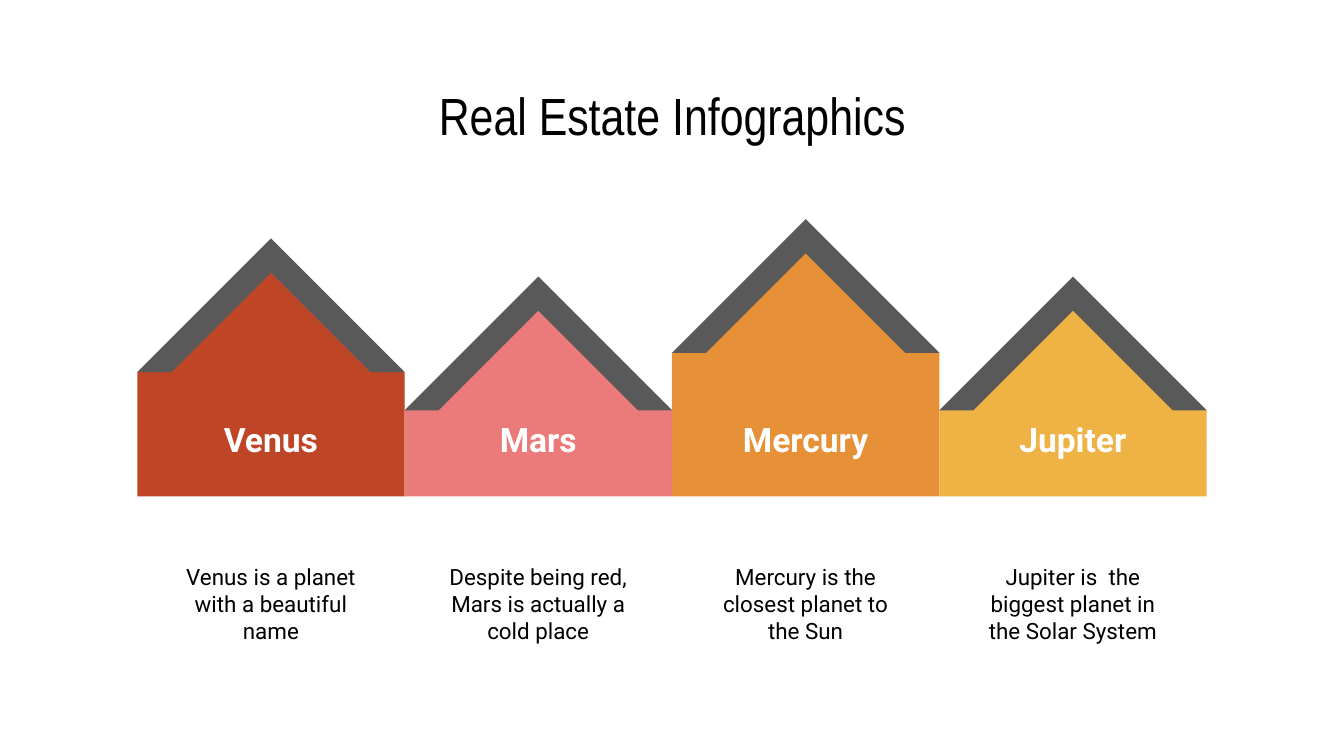
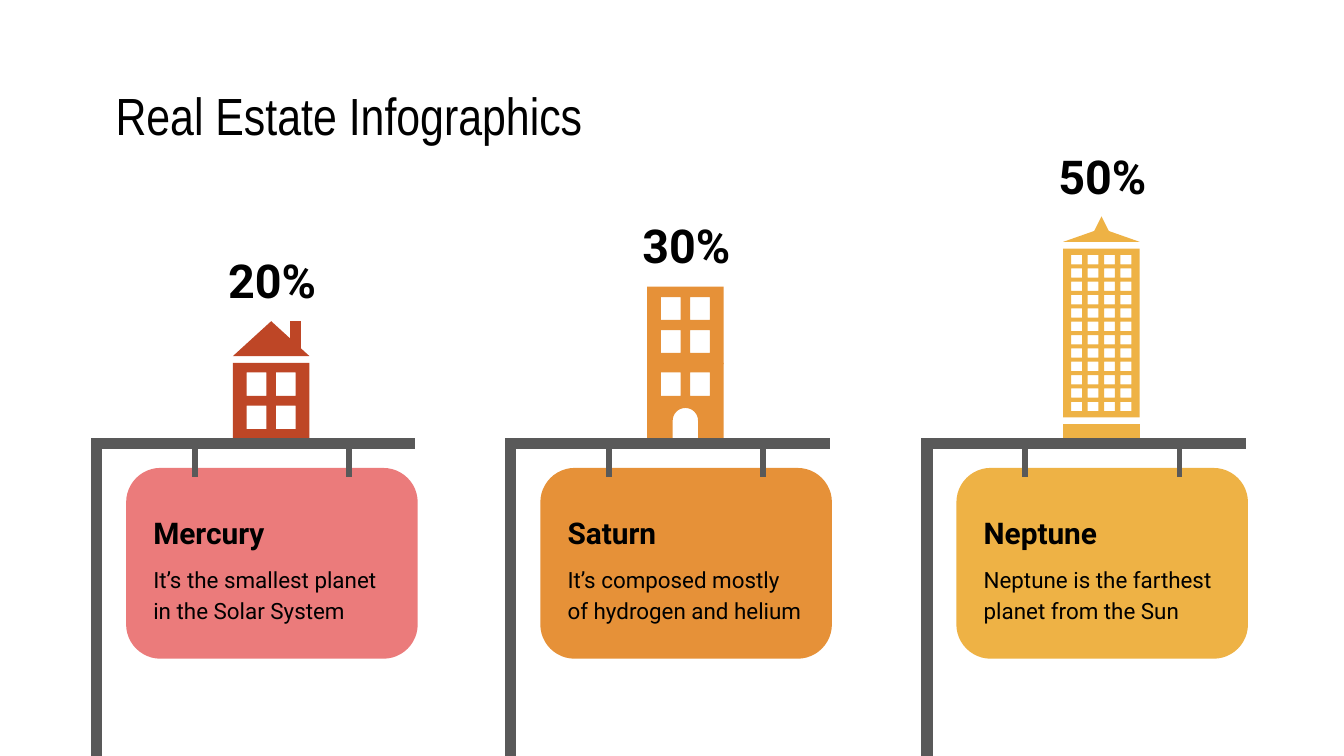
from math import cos, pi, sin
from pptx import Presentation
from pptx.dml.color import RGBColor
from pptx.enum.shapes import MSO_CONNECTOR, MSO_SHAPE
from pptx.enum.text import MSO_ANCHOR, PP_ALIGN
from pptx.oxml.ns import qn
from pptx.util import Pt
from lxml.etree import SubElement

BLACK = RGBColor(0x00, 0x00, 0x00)
WHITE = RGBColor(0xFF, 0xFF, 0xFF)
GRAY = RGBColor(0x59, 0x59, 0x59)
RED = RGBColor(0xBE, 0x46, 0x26)
PINK = RGBColor(0xEB, 0x7B, 0x7B)
ORANGE = RGBColor(0xE6, 0x91, 0x38)
YELLOW = RGBColor(0xEE, 0xB2, 0x45)
TITLE = "Real Estate Infographics"


def write(slide, text, box, size, color=BLACK, bold=False, font="Roboto",
          align=PP_ALIGN.CENTER, anchor=MSO_ANCHOR.TOP, space=1.0):
    frame = slide.shapes.add_textbox(*map(Pt, box)).text_frame
    frame.word_wrap = True
    frame.vertical_anchor = anchor
    frame.margin_left = frame.margin_right = Pt(7.2)
    frame.margin_top = frame.margin_bottom = Pt(7.2)
    para = frame.paragraphs[0]
    para.alignment = align
    para.line_spacing = space
    run = para.add_run()
    run.text = text
    run.font.name = font
    run.font.size = Pt(size)
    run.font.bold = bold
    run.font.color.rgb = color


def trace(group, color, left, outline, panes=()):
    loops = [outline]
    for x, y, w, h in panes:
        loops.append([(x, y), (x + w, y), (x + w, y + h), (x, y + h)])
    loops = [[(Pt(left + x), Pt(y)) for x, y in loop] for loop in loops]
    path = group.shapes.build_freeform(*loops[0][0])
    path.add_line_segments(loops[0][1:])
    for loop in loops[1:]:
        path.move_to(*loop[0])
        path.add_line_segments(loop[1:])
    shape = path.convert_to_shape()
    shape.shadow.inherit = False
    shape.fill.solid()
    shape.fill.fore_color.rgb = color
    shape.line.fill.background()


deck = Presentation()
deck.slide_width, deck.slide_height = Pt(720), Pt(405)
blank = deck.slide_layouts[6]
street, signs = (deck.slides.add_slide(blank) for _ in range(2))
for slide, left in ((street, 225), (signs, 51.8)):
    write(slide, TITLE, (left, 42.5, 270, 38), 28,
          font="Arial Narrow", anchor=MSO_ANCHOR.MIDDLE)

WIDTH, BASE, ROOF = 143.2, 265.9, 101.3
houses = [
    ("Venus", RED, 199.4, "Venus is a planet with a beautiful name"),
    ("Mars", PINK, 219.8, "Despite being red, Mars is actually a cold place"),
    ("Mercury", ORANGE, 189, "Mercury is the closest planet to the Sun"),
    ("Jupiter", YELLOW, 219.8, "Jupiter is  the biggest planet in the Solar System"),
]
for i, (name, color, eave, note) in enumerate(houses):
    left = 73.6 + i * WIDTH
    group = street.shapes.add_group_shape()
    trace(group, color, left, [
        (WIDTH, eave), (WIDTH, BASE), (0, BASE), (0, eave), (WIDTH / 2, eave - 11.2)])
    for drop, tint in ((0, GRAY), (18.4, color)):
        roof = group.shapes.add_shape(
            MSO_SHAPE.RIGHT_TRIANGLE, Pt(left + (WIDTH - ROOF) / 2),
            Pt(eave + drop - ROOF / 2), Pt(ROOF), Pt(ROOF))
        roof.rotation = 135
        roof.shadow.inherit = False
        roof.fill.solid()
        roof.fill.fore_color.rgb = tint
        roof.line.fill.background()
    write(street, note, (left + 13.8, 294.5, 115.5, 56), 12)
    write(street, name, (left + 13.8, 222, 115.5, 26.6), 18, WHITE, True,
          anchor=MSO_ANCHOR.MIDDLE)

SIDE, FLOOR = 41, 235
duo = [(x, y) for y in (0, 17.7) for x in (7.4, 23)]
arch = [(20.5 - 6.8 * cos(pi * k / 16), 225.4 - 6.8 * sin(pi * k / 16))
        for k in range(17)]
home = [
    ([(20.5, 172.1), (0, 190.8), (SIDE, 190.8)], []),
    ([(30.4, 172.1), (30.4, 187.2), (36.2, 187.2), (36.2, 172.1)], []),
    ([(0, 194.4), (0, FLOOR), (SIDE, FLOOR), (SIDE, 194.4)],
     [(x, 199.6 + y, 10.6, 12.6) for x, y in duo]),
]
flats = [
    ([(0, 153.6), (0, 195), (SIDE, 195), (SIDE, 153.6)],
     [(x, 159.2 + y, 10.6, 12.2) for x, y in duo]),
    ([(0, 194.4), (0, FLOOR), (13.7, FLOOR), *arch, (27.3, FLOOR),
      (SIDE, FLOOR), (SIDE, 194.4)],
     [(x, 199.6, 10.6, 12.6) for x, y in duo[:2]]),
]
tower = [
    ([(20.5, 122.4), (0, 129.6), (SIDE, 129.6)], []),
    ([(0, 227.4), (0, FLOOR), (SIDE, FLOOR), (SIDE, 227.4)], []),
    ([(0, 133.2), (0, 223.6), (SIDE, 223.6), (SIDE, 133.2)],
     [(4.3 + 8.8 * col, 136.6 + 7.15 * row, 5.8, 5)
      for row in range(12) for col in range(4)]),
    ([(20.5, 115.9), (15.8, 125.3), (25.2, 125.3)], []),
]
posts = [
    (51.8, "Mercury", "It’s the smallest planet in the Solar System",
     PINK, RED, home, "20%", 136),
    (273.7, "Saturn", "It’s composed mostly of hydrogen and helium",
     ORANGE, ORANGE, flats, "30%", 117.2),
    (496.6, "Neptune", "Neptune is the farthest planet from the Sun",
     YELLOW, YELLOW, tower, "50%", 80.2),
]
rods = [(0, 234.7, 0, 441, 6), (2.8, 237.8, 170.8, 237.8, 6),
        (52.6, 237.8, 52.6, 255.6, 3), (135.2, 237.8, 135.2, 255.6, 3)]
for left, name, note, fill, color, parts, share, top in posts:
    card = signs.shapes.add_shape(
        MSO_SHAPE.ROUNDED_RECTANGLE, Pt(left + 15.8), Pt(250.7), Pt(156.2), Pt(102.2))
    card.adjustments[0] = 0.18
    card.shadow.inherit = False
    card.fill.solid()
    card.fill.fore_color.rgb = fill
    card.line.fill.background()
    group = signs.shapes.add_group_shape()
    for outline, panes in parts:
        trace(group, color, left + 73, outline, panes)
    write(signs, name, (left + 23.3, 265.7, 141, 37.4), 16, bold=True,
          align=PP_ALIGN.LEFT, space=1.15)
    write(signs, note, (left + 23.3, 293.8, 141, 44.6), 12,
          align=PP_ALIGN.LEFT, space=1.15)
    group = signs.shapes.add_group_shape()
    for x, y, end, foot, thick in rods:
        rod = group.shapes.add_connector(
            MSO_CONNECTOR.STRAIGHT, Pt(left + x), Pt(y), Pt(left + end), Pt(foot))
        rod.line.color.rgb = GRAY
        rod.line.width = Pt(thick)
        SubElement(rod._element.spPr, qn("a:effectLst"))
    write(signs, share, (left + 54, top, 80, 28), 25, bold=True,
          anchor=MSO_ANCHOR.MIDDLE)

deck.save("out.pptx")
